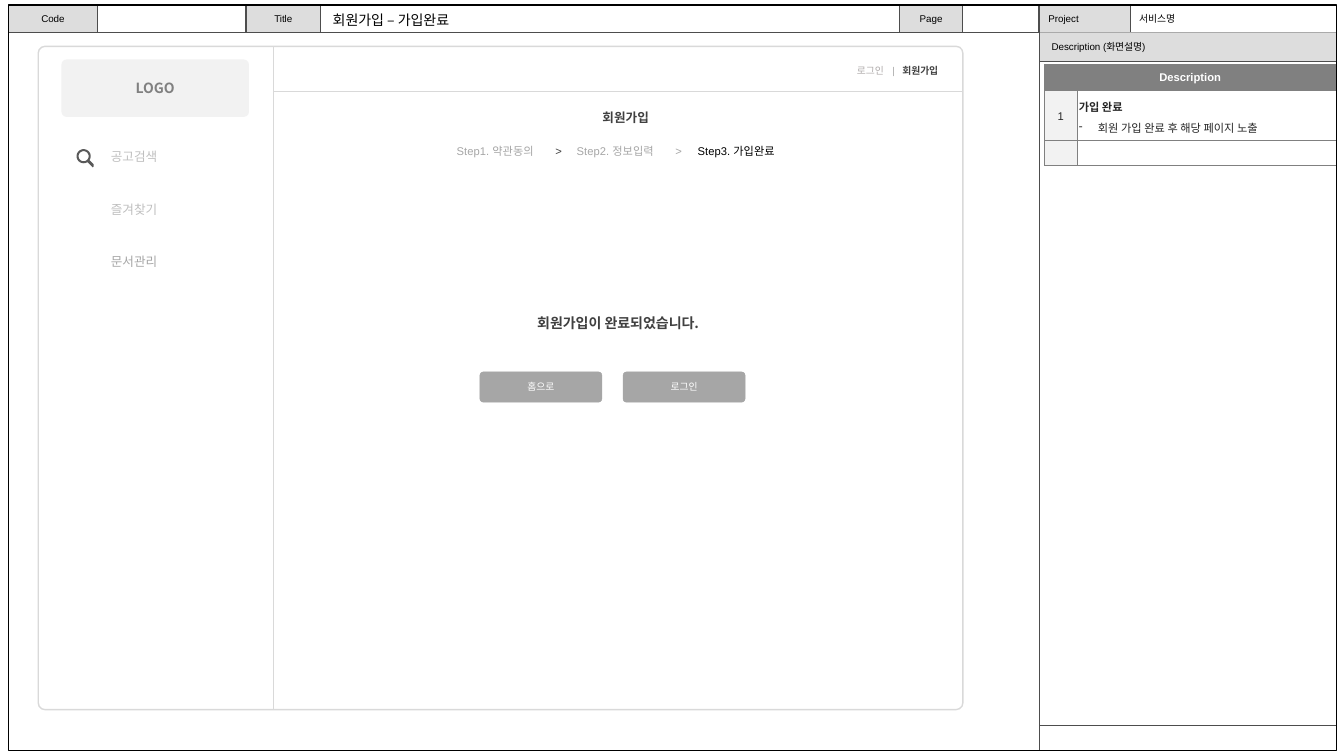
from math import cos, radians, sin

from lxml.etree import SubElement
from pptx import Presentation
from pptx.dml.color import RGBColor
from pptx.enum.shapes import MSO_CONNECTOR, MSO_SHAPE
from pptx.enum.text import MSO_ANCHOR, MSO_AUTO_SIZE, PP_ALIGN
from pptx.oxml.ns import qn
from pptx.util import Inches, Pt

BLACK = RGBColor(0x00, 0x00, 0x00)
INK = RGBColor(0x26, 0x26, 0x26)
CHARCOAL = RGBColor(0x40, 0x40, 0x40)
RULE = RGBColor(0x4D, 0x4D, 0x4D)
ICON = RGBColor(0x59, 0x59, 0x59)
GRAY = RGBColor(0x80, 0x80, 0x80)
MUTED = RGBColor(0xA6, 0xA6, 0xA6)
WARM_GRAY = RGBColor(0xAF, 0xAB, 0xAB)
PALE = RGBColor(0xBF, 0xBF, 0xBF)
OUTLINE = RGBColor(0xD9, 0xD9, 0xD9)
LABEL = RGBColor(0xDD, 0xDD, 0xDD)
LIGHT = RGBColor(0xF2, 0xF2, 0xF2)
WHITE = RGBColor(0xFF, 0xFF, 0xFF)
SANS, KOREAN = "Arial", "Noto Sans CJK KR"
LEFT, CENTER = PP_ALIGN.LEFT, PP_ALIGN.CENTER
TOP, MIDDLE = MSO_ANCHOR.TOP, MSO_ANCHOR.MIDDLE


def apply(target, values):
    """Set every attribute in a dict of format values."""
    for name, value in values.items():
        setattr(target, name, value)


def add_run(paragraph, text, size, color, font=SANS, bold=False):
    """Append one formatted run."""
    run = paragraph.add_run()
    run.text = text
    apply(run.font, {"size": Pt(size), "name": font, "bold": bold})
    run.font.color.rgb = color
    SubElement(run.font._element, qn("a:ea"), typeface=KOREAN)


def write(shape, text, size, color, font=SANS, bold=False, align=CENTER, anchor=MIDDLE):
    """Write one line of text into a shape."""
    frame = shape.text_frame
    apply(frame, {"word_wrap": True, "auto_size": MSO_AUTO_SIZE.NONE, "vertical_anchor": anchor,
                  "margin_left": Inches(0.1), "margin_right": Inches(0.1),
                  "margin_top": Inches(0.05), "margin_bottom": Inches(0.05)})
    paragraph = frame.paragraphs[0]
    paragraph.alignment = align
    if text:
        add_run(paragraph, text, size, color, font, bold)
    return paragraph


def add_text(slide, box, *text, **formats):
    """Add a text box."""
    shape = slide.shapes.add_textbox(*map(Inches, box))
    write(shape, *text, **formats)
    return shape


def add_tabbed(slide, box, stops, size, parts):
    """Add a line whose parts start at the given stops from the box's left."""
    shape = add_text(slide, box, "", size, BLACK, align=LEFT)
    shape.text_frame.margin_left = Inches(stops[0])
    paragraph = shape.text_frame.paragraphs[0]
    tab_list = SubElement(paragraph._p.get_or_add_pPr(), qn("a:tabLst"))
    for stop in stops[1:]:
        SubElement(tab_list, qn("a:tab"), pos=str(Inches(stop - stops[0])), algn="l")
    for index, (text, color, bold) in enumerate(parts):
        add_run(paragraph, "\t" + text if index else text, size, color, bold=bold)


def add_block(slide, box, fill=None, line=None, width=0.75, radius=None):
    """Add a rectangle, rounded when a radius ratio is given."""
    kind = MSO_SHAPE.RECTANGLE if radius is None else MSO_SHAPE.ROUNDED_RECTANGLE
    shape = slide.shapes.add_shape(kind, *map(Inches, box))
    shape.shadow.inherit = False
    if radius is not None:
        shape.adjustments[0] = radius
    if fill is None:
        shape.fill.background()
    else:
        shape.fill.solid()
        shape.fill.fore_color.rgb = fill
    if line is None:
        shape.line.fill.background()
    else:
        shape.line.color.rgb = line
        shape.line.width = Pt(width)
    return shape


def add_line(slide, ends, color=RULE, width=0.75):
    """Add a straight line given as x1, y1, x2, y2."""
    line = slide.shapes.add_connector(MSO_CONNECTOR.STRAIGHT, *map(Inches, ends))
    line.line.color.rgb = color
    line.line.width = Pt(width)
    SubElement(line._element.spPr, qn("a:effectLst"))


def add_search_icon(slide, left, top):
    """Draw a magnifier with a round lens and a slanted handle."""
    def arc(radius, angles):
        return [(Inches(left + 0.07 + radius * cos(radians(a))),
                 Inches(top + 0.07 + radius * sin(radians(a)))) for a in angles]

    handle = [(Inches(left + x), Inches(top + y)) for x, y in
              [(0.11, 0.13), (0.15, 0.17), (0.16, 0.18), (0.17, 0.17), (0.17, 0.15), (0.13, 0.11)]]
    rim = arc(0.07, range(60, 391, 10)) + handle[::-1]
    lens = arc(0.05, range(360, 0, -10))
    builder = slide.shapes.build_freeform(*rim[0], scale=1.0)
    builder.add_line_segments(rim[1:], close=True)
    builder.move_to(*lens[0])
    builder.add_line_segments(lens[1:], close=True)
    icon = builder.convert_to_shape()
    icon.shadow.inherit = False
    icon.fill.solid()
    icon.fill.fore_color.rgb = ICON
    icon.line.fill.background()


def build_sidebar(slide, box):
    """Place the logo block, the menu and the dividing line."""
    left, top, width, height = box
    logo = add_block(slide, (left + 0.23, top + 0.13, 1.86, 0.57), LIGHT, radius=0.09)
    write(logo, "LOGO", 10, GRAY, KOREAN, True)
    menu = [("공고검색", PALE), ("즐겨찾기", PALE), ("문서관리", MUTED)]
    for index, (text, color) in enumerate(menu):
        add_text(slide, (left + 0.45, top + 0.97 + 0.52 * index, 1, 0.29), text, 9, color, anchor=TOP)
    add_search_icon(slide, left + 0.38, top + 1.02)
    add_line(slide, (left + width, top + height, left + width, top), OUTLINE, 1)


def build_content(slide, box):
    """Place the account links, the steps, the message and the buttons."""
    left, top, width, height = box
    add_line(slide, (left, top + 0.45, left + width, top + 0.45), OUTLINE, 1)
    add_tabbed(slide, (left + 4.97, top + 0.12, 1.73, 0.24), (0.82, 1.17, 1.27), 7,
               [("로그인", WARM_GRAY, False), ("|", MUTED, False), ("회원가입", CHARCOAL, True)])
    add_text(slide, (left + 2.25, top + 0.58, 2.49, 0.25), "회원가입", 9, CHARCOAL, KOREAN, True, anchor=TOP)
    add_tabbed(slide, (left, top + 0.89, width, 0.3), (1.82, 2.8, 3.01, 3.99, 4.21), 8,
               [("Step1. 약관동의", MUTED, False), (">", CHARCOAL, False),
                ("Step2. 정보입력", MUTED, False), (">", MUTED, False),
                ("Step3. 가입완료", BLACK, False)])
    add_text(slide, (left + 1.87, top + 2.61, 3.1, 0.27), "회원가입이 완료되었습니다.",
             10, CHARCOAL, KOREAN, True, anchor=TOP)
    for index, text in enumerate(["홈으로", "로그인"]):
        button = add_block(slide, (left + 2.05 + 1.42 * index, top + 3.23, 1.21, 0.3),
                           MUTED, MUTED, 0.25, 0.11)
        write(button, text, 7, WHITE, KOREAN)


def build_wireframe(slide, box):
    """Place the framed screen with its sidebar and content."""
    left, top, width, height = box
    add_block(slide, box, WHITE, OUTLINE, 1, 0.01)
    build_sidebar(slide, (left, top, 2.33, height))
    build_content(slide, (left + 2.33, top, width - 2.33, height))


def build_header(slide, box):
    """Place the label cells, the rules and the slide title."""
    left, top, width, height = box
    labels = [("Code", 0, 0.89, CENTER), ("Title", 2.36, 0.74, CENTER),
              ("Page", 8.84, 0.63, CENTER), ("Project", 10.22, 0.91, LEFT)]
    for text, offset, cell_width, align in labels:
        cell = add_block(slide, (left + offset, top, cell_width, height), LABEL)
        write(cell, text, 7, BLACK, align=align)
        for x in {left + offset, left + offset + cell_width} - {left}:
            add_line(slide, (x, top, x, top + height))
    add_line(slide, (left, top + height, left + width, top + height))
    add_text(slide, (left + 11.12, top + 0.03, 2, 0.24), "서비스명", 7, BLACK, KOREAN, align=LEFT, anchor=TOP)
    title = slide.shapes.title
    apply(title, dict(zip(("left", "top", "width", "height"),
                          map(Inches, (left + 3.12, top + 0.01, 1.53, height)))))
    write(title, "회원가입 – 가입완료", 10, BLACK, KOREAN, align=LEFT, anchor=TOP)


def format_cell(cell, fill):
    """Set the margins, borders and fill of a table cell."""
    apply(cell, {"margin_left": Inches(0.02), "margin_right": Inches(0.02), "margin_top": Inches(0.04),
                 "margin_bottom": Inches(0.04)})
    properties = cell._tc.get_or_add_tcPr()
    for side in ("lnL", "lnR", "lnT", "lnB"):
        border = SubElement(properties, qn("a:" + side), w=str(Pt(0.25)))
        SubElement(SubElement(border, qn("a:solidFill")), qn("a:srgbClr"), val=str(GRAY))
    cell.fill.solid()
    cell.fill.fore_color.rgb = fill


def build_table(slide, box):
    """Place the table of numbered notes."""
    table = slide.shapes.add_table(3, 2, *map(Inches, box)).table
    apply(table, {"first_row": False, "horz_banding": False})
    for column, width in zip(table.columns, (0.32, box[2] - 0.32)):
        column.width = Inches(width)
    for row, fills in zip(table.rows, [(GRAY, GRAY), (LIGHT, WHITE), (LIGHT, WHITE)]):
        row.height = Inches(0.25)
        for cell, fill in zip(row.cells, fills):
            format_cell(cell, fill)
    table.cell(0, 0).merge(table.cell(0, 1))
    heading, number, note = table.cell(0, 0), table.cell(1, 0), table.cell(1, 1)
    note.text_frame.add_paragraph()
    first, second = note.text_frame.paragraphs
    for paragraph, text, color, bold in [(heading.text_frame.paragraphs[0], "Description", WHITE, True),
                                         (number.text_frame.paragraphs[0], "1", INK, False),
                                         (first, "가입 완료", INK, True),
                                         (second, "회원 가입 완료 후 해당 페이지 노출", INK, False)]:
        add_run(paragraph, text, 8, color, bold=bold)
        paragraph.line_spacing = 1 if paragraph._p is heading.text_frame.paragraphs[0]._p else 1.3
    for cell in (heading, number):
        cell.vertical_anchor = MIDDLE
        cell.text_frame.paragraphs[0].alignment = CENTER
    bullet = second._p.get_or_add_pPr()
    bullet.set("marL", str(Inches(0.19)))
    bullet.set("indent", str(Inches(-0.19)))
    SubElement(SubElement(bullet, qn("a:buClr")), qn("a:srgbClr"), val="333333")
    SubElement(bullet, qn("a:buChar"), char="-")
    for cell in table.rows[2].cells:
        SubElement(cell.text_frame.paragraphs[0]._p, qn("a:endParaRPr"), sz="800")


def build_description(slide, box):
    """Place the description panel at the right."""
    left, top, width, height = box
    heading = add_block(slide, (left, top + 0.27, width, 0.29), LABEL)
    write(heading, "Description (화면설명)", 7, BLACK, align=LEFT)
    heading.text_frame.margin_left = Inches(0.12)
    add_line(slide, (left, top, left, top + height))
    for offset in (0.56, height - 0.25):
        add_line(slide, (left, top + offset, left + width, top + offset))
    build_table(slide, (left + 0.05, top + 0.59, 2.89, 0.75))


def main():
    """Build and save the slide."""
    presentation = Presentation()
    apply(presentation, {"slide_width": Inches(13.33), "slide_height": Inches(7.5)})
    slide = presentation.slides.add_slide(presentation.slide_layouts[5])
    build_wireframe(slide, (0.38, 0.46, 9.17, 6.58))
    build_header(slide, (0.08, 0.05, 13.18, 0.27))
    build_description(slide, (10.31, 0.05, 2.95, 7.4))
    add_block(slide, (0.08, 0.05, 13.18, 7.4), line=BLACK)
    presentation.save("out.pptx")


if __name__ == "__main__":
    main()
